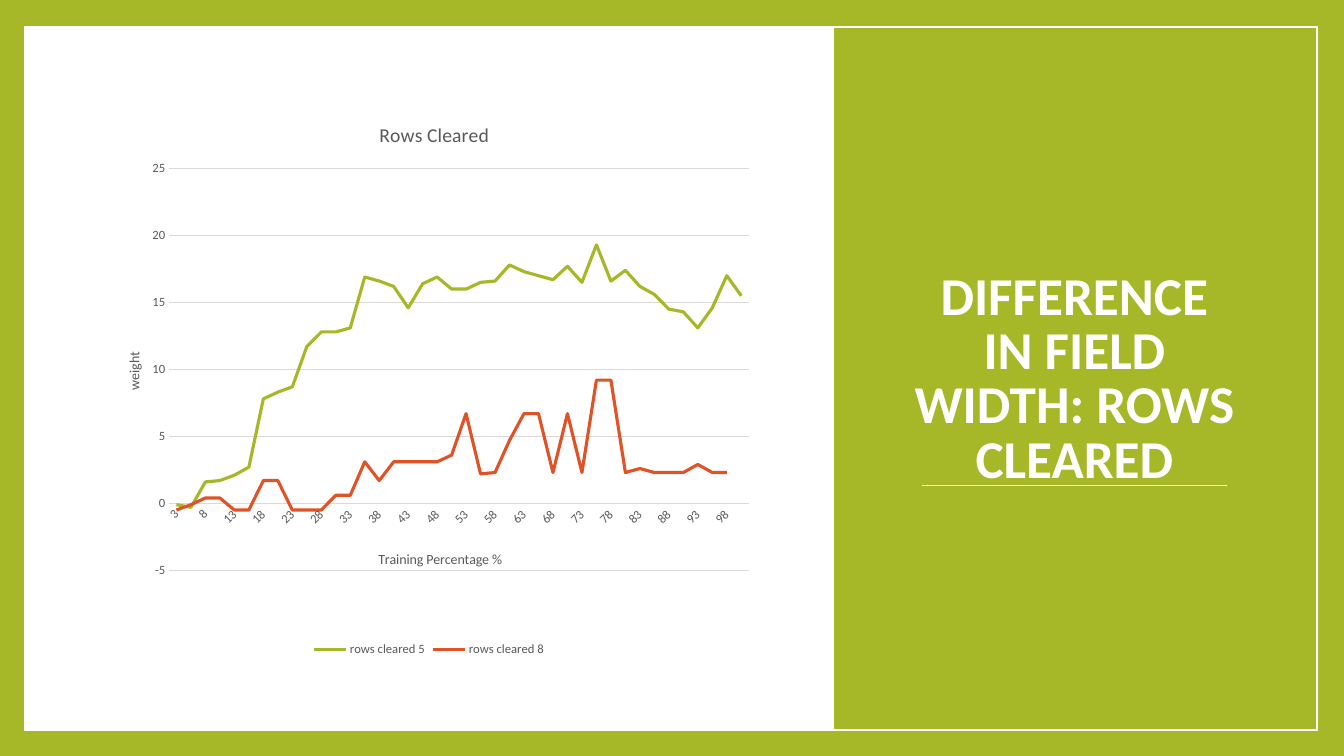
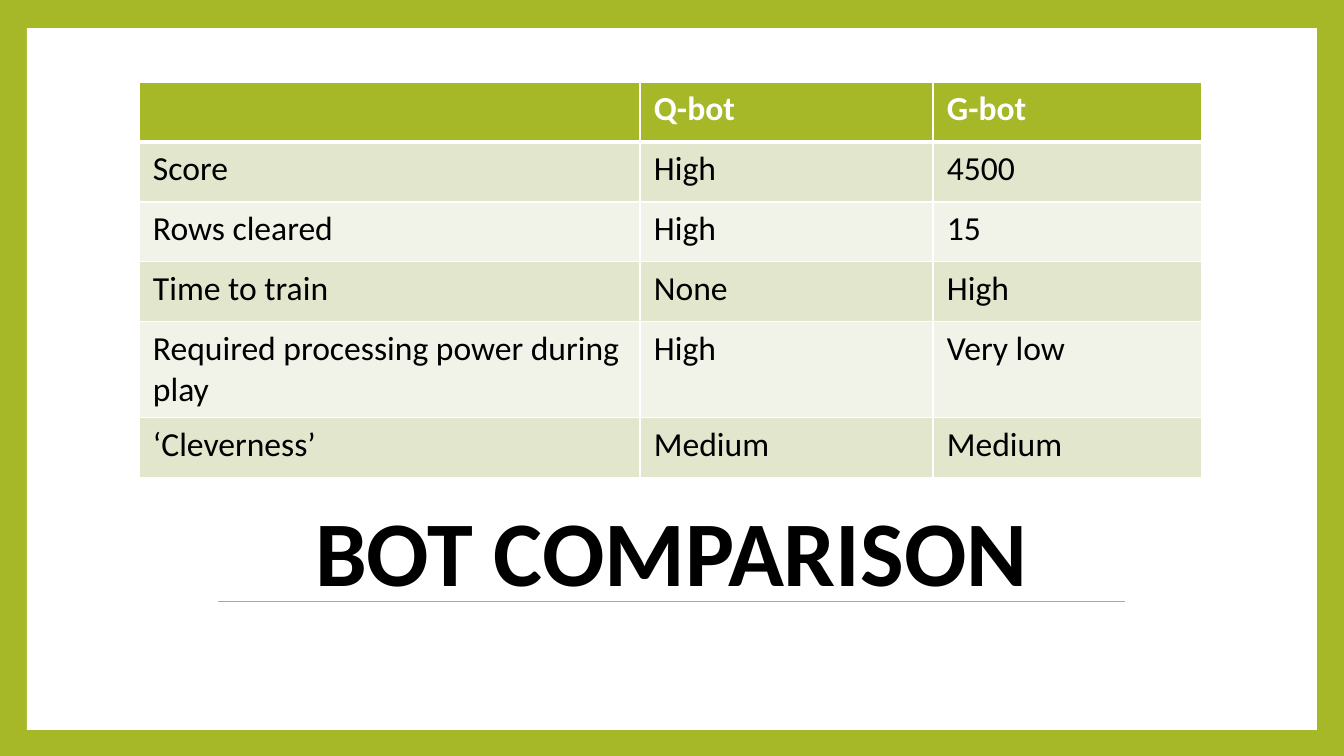
import dataclasses

import pptx
import pptx.chart.data
import pptx.dml.color
import pptx.enum.chart
import pptx.enum.shapes
import pptx.enum.text
import pptx.oxml
import pptx.oxml.ns
import pptx.util

qn = pptx.oxml.ns.qn
Pt = pptx.util.Pt
RGB = pptx.dml.color.RGBColor.from_string
SHAPE = pptx.enum.shapes.MSO_SHAPE
SLIDE_W, SLIDE_H = 1344, 756
EMU_PER_PX = 12192000 / SLIDE_W


@dataclasses.dataclass(frozen=True)
class Theme:
    font: str = "Calibri"
    lime: str = "A6B727"
    orange: str = "DF5327"
    white: str = "FFFFFF"
    black: str = "000000"
    chart_text: str = "595959"
    grid: str = "D9D9D9"
    rule: str = "A6A6A6"
    bands: tuple = ("E1E6CD", "F1F3E8")
    side_title: int = 38
    wide_title: int = 66
    table_text: int = 24
    chart_title: int = 14
    axis_title: int = 10
    chart_label: int = 9
    hairline: float = 0.75
    border: int = 1
    header_border: int = 3
    series_line: float = 2.25


def px(n):
    return pptx.util.Emu(round(n * EMU_PER_PX))


def assign(obj, values):
    for name, value in values.items():
        setattr(obj, name, value)


def set_layout(layout, inner=False, **fractions):
    """Fill a c:layout element with fractions of the chart's size."""
    manual = layout.makeelement(qn("c:manualLayout"), {})
    layout.append(manual)
    modes = {"layoutTarget": "inner"} if inner else {}
    modes.update(xMode="edge", yMode="edge")
    for name, value in {**modes, **fractions}.items():
        child = manual.makeelement(qn(f"c:{name}"), {"val": str(value)})
        manual.append(child)


class Deck:
    def __init__(self, theme):
        self.theme = theme
        self.prs = pptx.Presentation()
        assign(self.prs, {"slide_width": px(SLIDE_W), "slide_height": px(SLIDE_H)})
        self.slide = None

    def new_slide(self):
        self.slide = self.prs.slides.add_slide(self.prs.slide_layouts[6])
        fill = self.slide.background.fill
        fill.solid()
        fill.fore_color.rgb = RGB(self.theme.lime)

    def style_font(self, font, size, color, bold=False):
        assign(font, {"name": self.theme.font, "size": Pt(size), "bold": bold})
        font.color.rgb = RGB(color)

    def style_line(self, line, color, width):
        line.color.rgb = RGB(color)
        line.width = Pt(width)

    def panel(self, x, y, w, h, fill=None, outline=None):
        sp = self.slide.shapes.add_shape(SHAPE.RECTANGLE, px(x), px(y), px(w), px(h))
        sp.shadow.inherit = False
        if fill:
            sp.fill.solid()
            sp.fill.fore_color.rgb = RGB(fill)
        else:
            sp.fill.background()
        if outline:
            self.style_line(sp.line, outline, self.theme.border)
        else:
            sp.line.fill.background()

    def rule(self, x1, x2, y, color):
        cxn = self.slide.shapes.add_connector(
            pptx.enum.shapes.MSO_CONNECTOR.STRAIGHT, px(x1), px(y), px(x2), px(y))
        self.style_line(cxn.line, color, self.theme.hairline)
        sp_pr = cxn._element.spPr
        sp_pr.append(sp_pr.makeelement(qn("a:effectLst"), {}))

    def title(self, text, x, y, w, h, size, color):
        tf = self.slide.shapes.add_textbox(px(x), px(y), px(w), px(h)).text_frame
        assign(tf, {"word_wrap": True,
                    "vertical_anchor": pptx.enum.text.MSO_ANCHOR.BOTTOM})
        p = tf.paragraphs[0]
        assign(p, {"alignment": pptx.enum.text.PP_ALIGN.CENTER, "line_spacing": 0.85})
        r = p.add_run()
        r.text = text
        self.style_font(r.font, size, color, bold=True)

    def chart_caption(self, caption, text, size, x, y):
        """Write a chart or axis title and place it by fractions."""
        tf = caption.text_frame
        tf.text = text
        self.style_font(tf.paragraphs[0].runs[0].font, size, self.theme.chart_text)
        title = caption._element
        for old in title.findall(qn("c:layout")):
            title.remove(old)
        layout = title.makeelement(qn("c:layout"), {})
        title.find(qn("c:tx")).addnext(layout)
        set_layout(layout, x=x, y=y)

    def line_chart(self, heading, x_title, y_title, categories, series, x, y, w, h):
        th, enum = self.theme, pptx.enum.chart
        data = pptx.chart.data.CategoryChartData(number_format="0.0")
        data.categories = categories
        data.categories.number_format = "0"
        for name, values, _ in series:
            data.add_series(name, values)
        chart = self.slide.shapes.add_chart(
            enum.XL_CHART_TYPE.LINE, px(x), px(y), px(w), px(h), data).chart
        self.style_font(chart.font, th.chart_label, th.chart_text)
        chart.plots[0].vary_by_categories = False
        for s, (_, _, color) in zip(chart.series, series):
            s.smooth = False
            self.style_line(s.format.line, color, th.series_line)

        cat, val = chart.category_axis, chart.value_axis
        assign(val, {"minimum_scale": -5, "maximum_scale": 25, "major_unit": 5,
                     "has_major_gridlines": True})
        for axis in (cat, val):
            axis.major_tick_mark = axis.minor_tick_mark = enum.XL_TICK_MARK.NONE
            self.style_font(axis.tick_labels.font, th.chart_label, th.chart_text)
            assign(axis.tick_labels, {"number_format": "0",
                                      "number_format_is_linked": False})
        self.style_line(cat.format.line, th.grid, th.hairline)
        self.style_line(val.major_gridlines.format.line, th.grid, th.hairline)
        val.format.line.fill.background()
        cat_xml = cat._element
        cat_xml.find(f"{qn('c:txPr')}/{qn('a:bodyPr')}").set("rot", "-2700000")
        skip = cat_xml.makeelement(qn("c:tickLblSkip"), {"val": "2"})
        cat_xml.find(qn("c:noMultiLvlLbl")).addprevious(skip)

        self.chart_caption(chart.chart_title, heading, th.chart_title, 0.42, 0.04)
        self.chart_caption(cat.axis_title, x_title, th.axis_title, 0.42, 0.8)
        self.chart_caption(val.axis_title, y_title, th.axis_title, 0.04, 0.45)
        chart.has_legend = True
        assign(chart.legend, {"position": enum.XL_LEGEND_POSITION.BOTTOM,
                              "include_in_layout": False})
        self.style_font(chart.legend.font, th.chart_label, th.chart_text)

        plot_area = chart._chartSpace.chart.plotArea
        for old in plot_area.findall(qn("c:layout")):
            plot_area.remove(old)
        layout = plot_area.makeelement(qn("c:layout"), {})
        plot_area.insert(0, layout)
        set_layout(layout, inner=True, x=0.11, y=0.13, w=0.87, h=0.71)

    def cell_borders(self, cell, widths):
        tc_pr = cell._tc.get_or_add_tcPr()
        for side, width in widths.items():
            tc_pr.append(pptx.oxml.parse_xml(
                f'<a:ln{side} {pptx.oxml.ns.nsdecls("a")} w="{Pt(width)}">'
                f'<a:solidFill><a:srgbClr val="{self.theme.white}"/></a:solidFill>'
                f'</a:ln{side}>'))

    def table(self, rows, x, y, col_widths, row_heights):
        th = self.theme
        table = self.slide.shapes.add_table(
            len(rows), len(col_widths), px(x), px(y),
            px(sum(col_widths)), px(sum(row_heights))).table
        for col, width in zip(table.columns, col_widths):
            col.width = px(width)
        for row, height in zip(table.rows, row_heights):
            row.height = px(height)
        insets = {"margin_left": px(14), "margin_right": px(14),
                  "margin_top": px(7), "margin_bottom": px(7)}
        for i, texts in enumerate(rows):
            header = i == 0
            fill = th.lime if header else th.bands[(i - 1) % 2]
            color = th.white if header else th.black
            widths = dict.fromkeys("LRTB", th.border)
            if header:
                widths["B"] = th.header_border
            elif i == 1:
                widths["T"] = th.header_border
            for j, text in enumerate(texts):
                cell = table.cell(i, j)
                assign(cell, insets)
                self.cell_borders(cell, widths)
                cell.fill.solid()
                cell.fill.fore_color.rgb = RGB(fill)
                if text:
                    r = cell.text_frame.paragraphs[0].add_run()
                    r.text = text
                    self.style_font(r.font, th.table_text, color, bold=header)


TRAINING = [2.5 * step for step in range(1, 41)]
FIELD_5 = [-0.1, -0.3, 1.6, 1.7, 2.1, 2.7, 7.8, 8.3, 8.7, 11.7,
           12.8, 12.8, 13.1, 16.9, 16.6, 16.2, 14.6, 16.4, 16.9, 16,
           16, 16.5, 16.6, 17.8, 17.3, 17, 16.7, 17.7, 16.5, 19.3,
           16.6, 17.4, 16.2, 15.6, 14.5, 14.3, 13.1, 14.6, 17, 15.5]
FIELD_8 = [-0.5, -0.1, 0.4, 0.4, -0.5, -0.5, 1.7, 1.7, -0.5, -0.5,
           -0.5, 0.6, 0.6, 3.1, 1.7, 3.1, 3.1, 3.1, 3.1, 3.6,
           6.7, 2.2, 2.3, 4.7, 6.7, 6.7, 2.3, 6.7, 2.3, 9.2,
           9.2, 2.3, 2.6, 2.3, 2.3, 2.3, 2.9, 2.3, 2.3, None]
BOTS = [("", "Q-bot", "G-bot"),
        ("Score", "High", "4500"),
        ("Rows cleared", "High", "15"),
        ("Time to train", "None", "High"),
        ("Required processing power during play", "High", "Very low"),
        ("‘Cleverness’", "Medium", "Medium")]


def rows_cleared_slide(deck):
    th = deck.theme
    frame = (25, 27, 1292, 703)
    deck.new_slide()
    deck.panel(*frame, fill=th.white, outline=th.white)
    deck.panel(833, 27, 484, 703, fill=th.lime, outline=th.white)
    deck.rule(922, 1227, 486, th.white)
    deck.panel(*frame, outline=th.white)
    deck.title("DIFFERENCE IN FIELD WIDTH: ROWS CLEARED",
               903, 95, 343, 399, th.side_title, th.white)
    deck.line_chart("Rows Cleared", "Training Percentage %", "weight", TRAINING,
                    [("rows cleared 5", FIELD_5, th.lime),
                     ("rows cleared 8", FIELD_8, th.orange)],
                    96, 95, 666, 566)


def bot_comparison_slide(deck):
    th = deck.theme
    deck.new_slide()
    deck.panel(0, 0, SLIDE_W, SLIDE_H, fill=th.lime)
    deck.panel(27, 28, 1290, 702, fill=th.white)
    deck.rule(218, 1125, 602, th.rule)
    deck.title("BOT COMPARISON", 122, 464, 1099, 146, th.wide_title, th.black)
    deck.table(BOTS, 139, 82, (501, 293, 269), (60, 60, 60, 60, 96, 60))


def main():
    deck = Deck(Theme())
    rows_cleared_slide(deck)
    bot_comparison_slide(deck)
    deck.prs.save("out.pptx")


if __name__ == "__main__":
    main()
